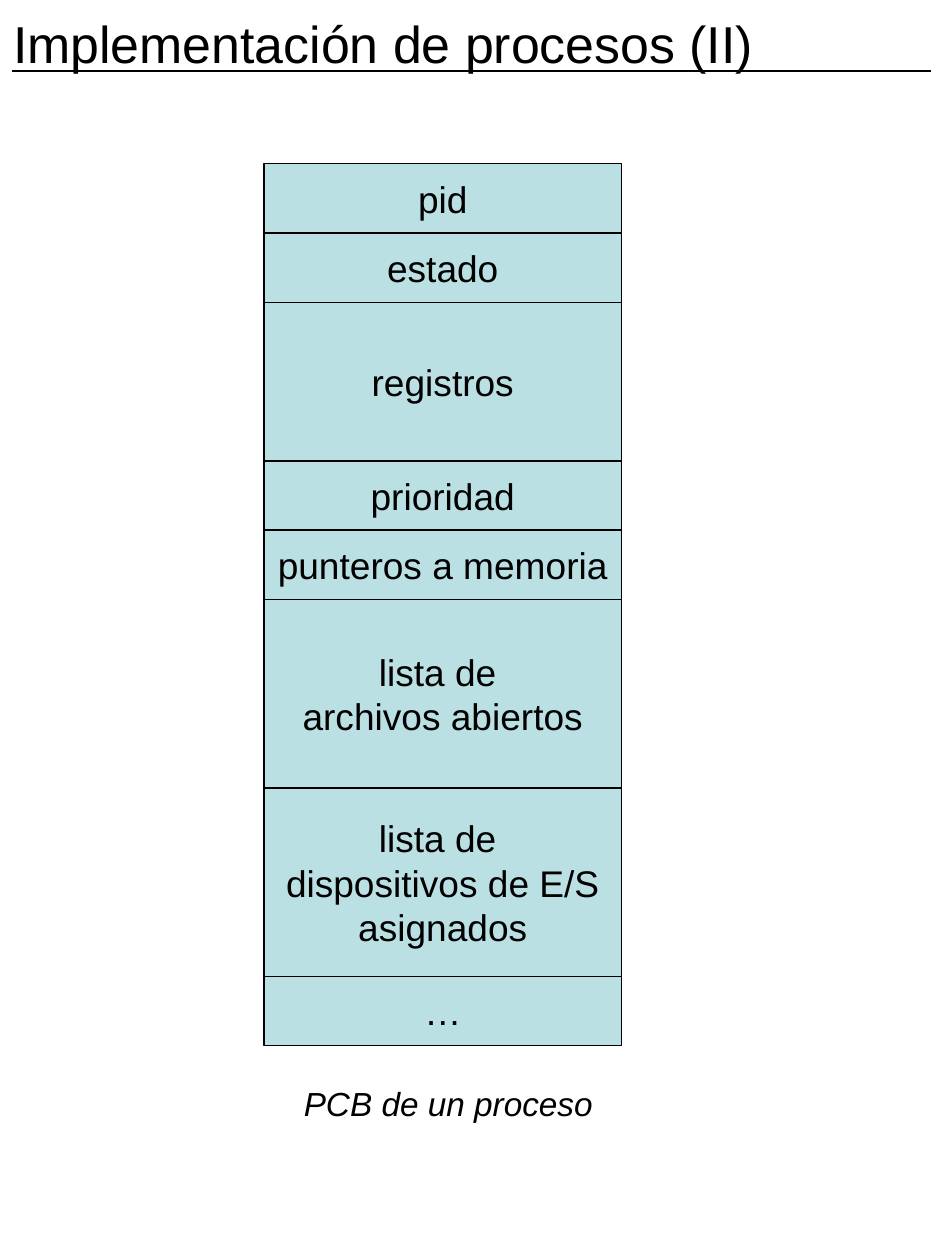
from dataclasses import dataclass
from itertools import accumulate

from lxml import etree
from pptx import Presentation
from pptx import util as u
from pptx.dml.color import RGBColor
from pptx.enum import shapes, text
from pptx.oxml import ns

TITLE = "Implementación de procesos (II)"
CAPTION = "PCB de un proceso"
SHORT, MEDIUM, TALL = 1.32, 3.02, 3.59  # field heights in cm
PCB_FIELDS = [
    (["pid"], SHORT),
    (["estado"], SHORT),
    (["registros"], MEDIUM),
    (["prioridad"], SHORT),
    (["punteros a memoria"], SHORT),
    (["lista de ", "archivos abiertos"], TALL),
    (["lista de ", "dispositivos de E/S", "asignados"], TALL),
    (["…"], SHORT),
]
PCB_LEFT, PCB_TOP, PCB_WIDTH = 5.03, 3.12, 6.81
PAGE_WIDTH, PAGE_HEIGHT = 18, 24


@dataclass(frozen=True)
class Theme:
    """Colours, font and sizes of the slide."""
    font: str = "Arial"
    ink: RGBColor = RGBColor(0, 0, 0)
    field: RGBColor = RGBColor(0xBB, 0xE0, 0xE3)
    title_size: int = 28
    field_size: int = 20
    caption_size: int = 18
    rule: float = 0.74


THEME = Theme()


def box(left, top, width, height):
    """Turn centimetres into lengths."""
    return [u.Cm(n) for n in (left, top, width, height)]


def draw_outline(line):
    """Give a line the ink colour and rule width."""
    line.color.rgb = THEME.ink
    line.width = u.Pt(THEME.rule)


def write(frame, lines, size, align, italic=False):
    """Write one paragraph per line of text."""
    for i, words in enumerate(lines):
        paragraph = frame.add_paragraph() if i else frame.paragraphs[0]
        paragraph.alignment = align
        run = paragraph.add_run()
        run.text = words
        run.font.name = THEME.font
        run.font.size = u.Pt(size)
        run.font.italic = italic
        run.font.color.rgb = THEME.ink


def add_label(slide, words, place, size, align, italic=False):
    """Add a wrapping line of text without fill."""
    frame = slide.shapes.add_textbox(*box(*place)).text_frame
    frame.word_wrap = True
    frame.auto_size = text.MSO_AUTO_SIZE.SHAPE_TO_FIT_TEXT
    write(frame, [words], size, align, italic)


def add_title_rule(slide):
    """Draw the rule under the title."""
    rule = slide.shapes.add_connector(
        shapes.MSO_CONNECTOR.STRAIGHT, *box(0.23, 1.35, 17.73, 1.35))
    draw_outline(rule.line)
    etree.SubElement(rule.element.spPr, ns.qn("a:effectLst"))


def add_field(slide, lines, top, height):
    """Add one field of the process control block."""
    field = slide.shapes.add_shape(
        shapes.MSO_SHAPE.RECTANGLE, *box(PCB_LEFT, top, PCB_WIDTH, height))
    field.shadow.inherit = False
    field.fill.solid()
    field.fill.fore_color.rgb = THEME.field
    draw_outline(field.line)
    frame = field.text_frame
    frame.word_wrap = False
    frame.vertical_anchor = text.MSO_ANCHOR.MIDDLE
    write(frame, lines, THEME.field_size, text.PP_ALIGN.CENTER)


def main():
    """Build and save the slide."""
    deck = Presentation()
    deck.slide_width, deck.slide_height = u.Cm(PAGE_WIDTH), u.Cm(PAGE_HEIGHT)
    slide = deck.slides.add_slide(deck.slide_layouts[6])
    add_title_rule(slide)
    tops = accumulate((height for _, height in PCB_FIELDS), initial=PCB_TOP)
    for (lines, height), top in zip(PCB_FIELDS, tops):
        add_field(slide, lines, top, height)
    add_label(slide, CAPTION, (0.69, 20.5, 15.7, 1.02), THEME.caption_size,
              text.PP_ALIGN.CENTER, italic=True)
    add_label(slide, TITLE, (0, 0.1, PAGE_WIDTH, 1.45), THEME.title_size,
              text.PP_ALIGN.LEFT)
    deck.save("out.pptx")


main()
